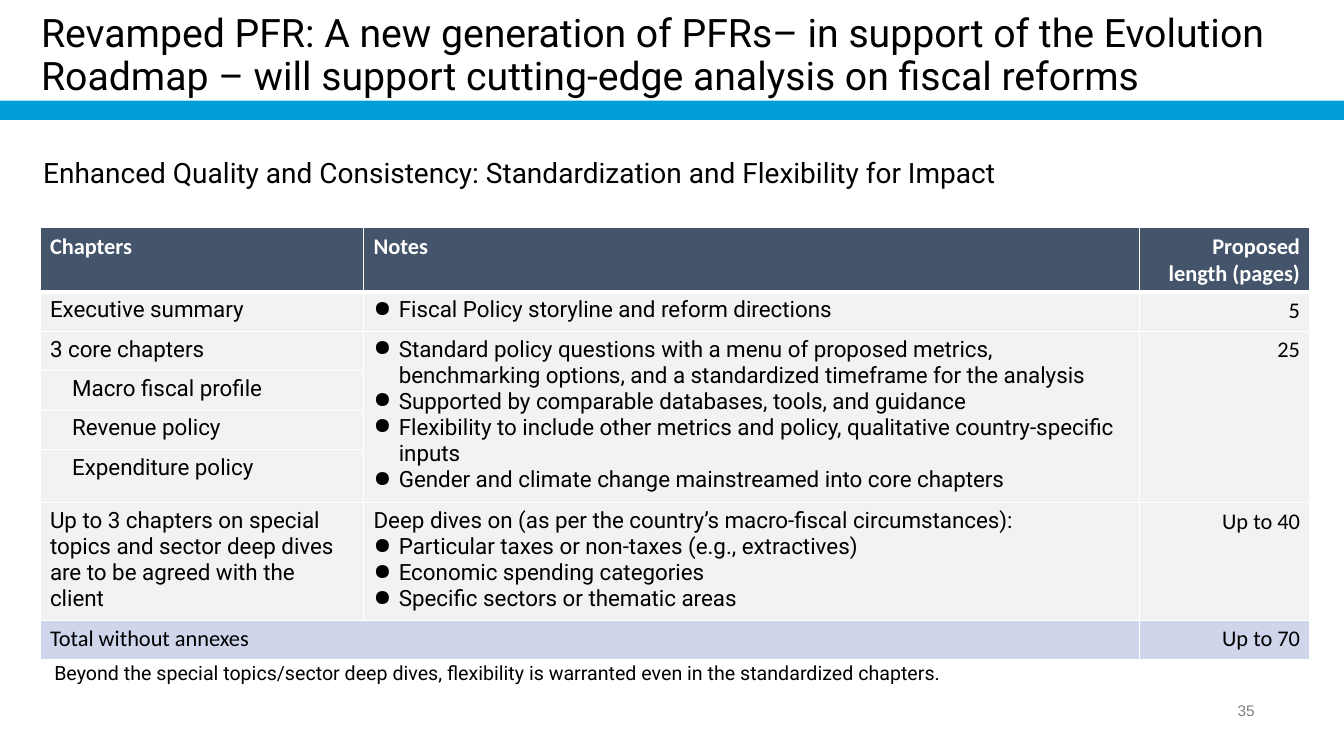
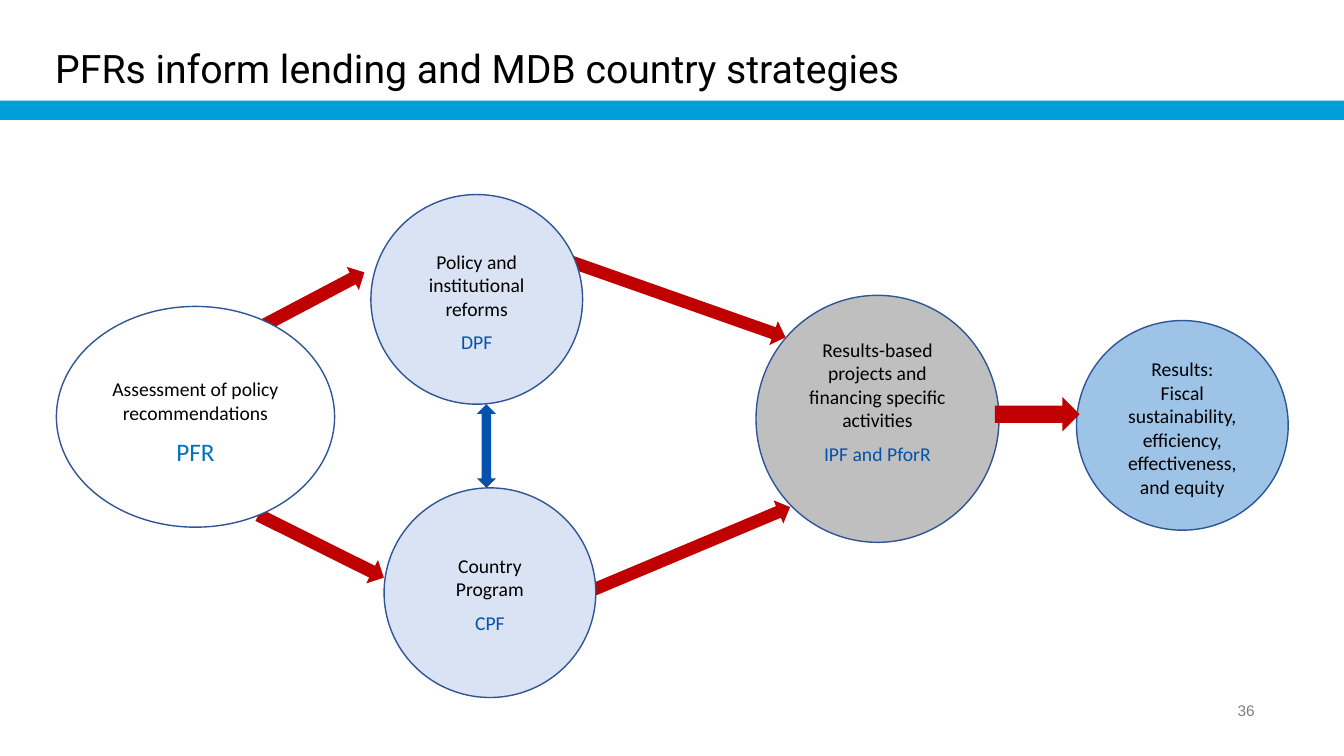
"""Build two slides on public finance reviews: a chapter table and a lending diagram."""

from dataclasses import dataclass

import lxml.etree
import pptx
import pptx.dml.color
import pptx.enum.shapes
import pptx.enum.text
import pptx.oxml.ns
import pptx.shapes.autoshape
import pptx.slide
import pptx.text.text
import pptx.util

SHAPES = pptx.enum.shapes.MSO_SHAPE
ALIGN = pptx.enum.text.PP_ALIGN
ANCHOR = pptx.enum.text.MSO_ANCHOR
WIDTH, HEIGHT = pptx.util.Inches(13.333), pptx.util.Inches(7.5)

BLACK, WHITE, GREY = "000000", "FFFFFF", "808080"
BAND_BLUE, HEADER_BLUE, TOTAL_BLUE = "009FDA", "44546A", "CFD5EA"
BODY_GREY, RED, LINK_BLUE, OUTLINE = "F2F2F2", "C00000", "0551AE", "2F5597"
PALE_BLUE = "DAE3F3"
HEADING, BODY, NUMBER = "Roboto", "Calibri", "Arial"


@dataclass(frozen=True)
class Box:
    """Place and size in percent of the slide's width and height."""

    left: float
    top: float
    width: float
    height: float

    def lengths(self) -> tuple[int, int, int, int]:
        """Return left, top, width and height in EMU."""
        return across(self.left), down(self.top), across(self.width), down(self.height)


@dataclass(frozen=True)
class Arrow:
    """A block arrow turned by a number of degrees."""

    box: Box
    rotation: float = 0
    kind: SHAPES = SHAPES.RIGHT_ARROW
    color: str = RED


@dataclass(frozen=True)
class Stage:
    """An ellipse with a description and the instrument below it."""

    box: Box
    fill: str
    inset: float
    lines: tuple[str, ...]
    instrument: str = ""
    instrument_size: int = 14
    instrument_color: str = LINK_BLUE


@dataclass(frozen=True)
class ChapterRow:
    """One table row; lines that start with a bullet become list items."""

    height: float
    chapter: str
    notes: tuple[str, ...] = ()
    pages: str = ""
    indent: float = 0
    fill: str = BODY_GREY
    color: str = BLACK
    font: str = HEADING
    bold: bool = False


TITLE_BOX = Box(2.32, 1.2, 93.68, 11.07)
LOW_TITLE_BOX = Box(3.37, 1.73, 93.68, 15.2)
COLUMNS = (24.08, 57.75, 12.68)
TABLE_LEFT, TABLE_TOP = 2.97, 30.13
ROW = 5.2
CORE_ROWS = (2, 5)

ROWS = (
    ChapterRow(8.53, "Chapters", ("Notes",), "Proposed length (pages)",
               fill=HEADER_BLUE, color=WHITE, font=BODY, bold=True),
    ChapterRow(ROW, "Executive summary",
               ("● Fiscal Policy storyline and reform directions",), "5"),
    ChapterRow(ROW, "3 core chapters", (
        "● Standard policy questions with a menu of proposed metrics, "
        "benchmarking options, and a standardized timeframe for the analysis",
        "● Supported by comparable databases, tools, and guidance",
        "● Flexibility to include other metrics and policy, "
        "qualitative country-specific inputs",
        "● Gender and climate change mainstreamed into core chapters",
    ), "25"),
    ChapterRow(ROW, "Macro fiscal profile", indent=0.22),
    ChapterRow(ROW, "Revenue policy", indent=0.22),
    ChapterRow(6.5, "Expenditure policy", indent=0.22),
    ChapterRow(15.07, "Up to 3 chapters on special topics and sector deep dives "
               "are to be agreed with the client", (
        "Deep dives on (as per the country’s macro-fiscal circumstances):",
        "● Particular taxes or non-taxes (e.g., extractives)",
        "● Economic spending categories",
        "● Specific sectors or thematic areas",
    ), "Up to 40"),
    ChapterRow(ROW, "Total without annexes", pages="Up to 70",
               fill=TOTAL_BLUE, font=BODY),
)

ARROWS_BEHIND = (
    Arrow(Box(39.5, 37.2, 19.5, 3.33), 19.4),
    Arrow(Box(40.05, 72.13, 19.5, 3.33), 337.2),
    Arrow(Box(18.98, 37.87, 8.63, 3.47), 332.2),
    Arrow(Box(18.68, 70.53, 10.43, 3.47), 26.5),
)
ARROWS_IN_FRONT = (
    Arrow(Box(74.03, 52.53, 6.3, 4.53)),
    Arrow(Box(35.48, 53.47, 1.43, 11.07), kind=SHAPES.UP_DOWN_ARROW, color=LINK_BLUE),
)
STAGES = (
    Stage(Box(4.2, 40.53, 20.7, 29.2), WHITE, 0.38,
          ("Assessment of policy recommendations",), "PFR", 18, "0070C0"),
    Stage(Box(27.6, 25.73, 15.75, 27.73), PALE_BLUE, 0.24,
          ("Policy and institutional reforms",), "DPF"),
    Stage(Box(28.58, 64.53, 15.75, 27.73), PALE_BLUE, 0.35,
          ("Country Program",), "CPF"),
    Stage(Box(56.25, 39.07, 18.08, 32.67), "BFBFBF", 0.06,
          ("Results-based projects and financing specific activities",),
          "IPF and PforR"),
    Stage(Box(80.1, 42.4, 15.75, 27.73), "9DC3E6", 0.06,
          ("Results:", "Fiscal sustainability, efficiency, effectiveness, and equity")),
)


def across(share: float) -> int:
    """Return a percentage of the slide's width in EMU."""
    return int(WIDTH * share / 100)


def down(share: float) -> int:
    """Return a percentage of the slide's height in EMU."""
    return int(HEIGHT * share / 100)


def rgb(value: str) -> pptx.dml.color.RGBColor:
    """Turn a hex string into a colour."""
    return pptx.dml.color.RGBColor.from_string(value)


def write(frame: pptx.text.text.TextFrame, text: str, *, size: float = 14,
          color: str = BLACK, font: str = HEADING, bold: bool = False,
          align: ALIGN = ALIGN.LEFT, line_spacing: float = 1.0,
          space_before: float = 0) -> None:
    """Write one paragraph, using the empty first one when there is one."""
    first = frame.paragraphs[0]
    paragraph = frame.add_paragraph() if first.runs else first
    paragraph.alignment = align
    paragraph.line_spacing = line_spacing
    paragraph.space_before = pptx.util.Pt(space_before)
    if text.startswith("● "):
        text = text[2:]
        add_bullet(paragraph)
    run = paragraph.add_run()
    run.text = text
    run.font.size = pptx.util.Pt(size)
    run.font.name = font
    run.font.bold = bold
    run.font.color.rgb = rgb(color)


def add_bullet(paragraph: pptx.text.text._Paragraph) -> None:
    """Give a paragraph a round bullet with a hanging indent."""
    properties = paragraph._p.get_or_add_pPr()
    hang = pptx.util.Inches(0.25)
    properties.set("marL", str(hang))
    properties.set("indent", str(-hang))
    bullet = lxml.etree.SubElement(properties, pptx.oxml.ns.qn("a:buChar"))
    bullet.set("char", "●")


def add_text(slide: pptx.slide.Slide, box: Box, text: str, *,
             anchor: ANCHOR = ANCHOR.TOP, **text_format) -> None:
    """Add a wrapped text box with one paragraph."""
    frame = slide.shapes.add_textbox(*box.lengths()).text_frame
    frame.word_wrap = True
    frame.vertical_anchor = anchor
    write(frame, text, **text_format)


def add_block(slide: pptx.slide.Slide, kind: SHAPES, box: Box, fill: str,
              outline: str = "") -> pptx.shapes.autoshape.Shape:
    """Add a filled preset shape without shadow."""
    shape = slide.shapes.add_shape(kind, *box.lengths())
    shape.shadow.inherit = False
    shape.fill.solid()
    shape.fill.fore_color.rgb = rgb(fill)
    if outline:
        shape.line.color.rgb = rgb(outline)
        shape.line.width = pptx.util.Pt(1)
    else:
        shape.line.fill.background()
    return shape


def add_slide(presentation: pptx.presentation.Presentation, title: str,
              number: int, box: Box, anchor: ANCHOR) -> pptx.slide.Slide:
    """Add a blank slide with the shared band, title and slide number."""
    slide = presentation.slides.add_slide(presentation.slide_layouts[6])
    add_block(slide, SHAPES.RECTANGLE, Box(0, 13.33, 100, 2.53), BAND_BLUE)
    add_text(slide, box, title, anchor=anchor, size=28, line_spacing=0.9)
    add_text(slide, Box(91.35, 92.13, 5.93, 4), str(number),
             size=11, font=NUMBER, color=GREY)
    return slide


def style_cell(cell: pptx.table._Cell, fill: str, bottom: float) -> None:
    """Give a cell white borders and a solid fill."""
    properties = cell._tc.get_or_add_tcPr()
    for side, points in (("L", 1), ("R", 1), ("T", 1), ("B", bottom)):
        line = lxml.etree.SubElement(properties, pptx.oxml.ns.qn(f"a:ln{side}"))
        line.set("w", str(pptx.util.Pt(points)))
        solid = lxml.etree.SubElement(line, pptx.oxml.ns.qn("a:solidFill"))
        color = lxml.etree.SubElement(solid, pptx.oxml.ns.qn("a:srgbClr"))
        color.set("val", WHITE)
    cell.fill.solid()
    cell.fill.fore_color.rgb = rgb(fill)


def add_chapter_table(slide: pptx.slide.Slide) -> None:
    """Add the table of chapters, notes and page counts."""
    box = Box(TABLE_LEFT, TABLE_TOP, sum(COLUMNS), sum(row.height for row in ROWS))
    table = slide.shapes.add_table(len(ROWS), len(COLUMNS), *box.lengths()).table
    table.horz_banding = False
    for column, width in zip(table.columns, COLUMNS):
        column.width = across(width)
    first, last = CORE_ROWS
    for column in (1, 2):
        table.cell(first, column).merge(table.cell(last, column))
    total = len(ROWS) - 1
    table.cell(total, 0).merge(table.cell(total, 1))
    for index, row in enumerate(ROWS):
        table.rows[index].height = down(row.height)
        contents = ((row.chapter,), row.notes, (row.pages,) if row.pages else ())
        for column, lines in enumerate(contents):
            cell = table.cell(index, column)
            style_cell(cell, row.fill, 1 if index else 3)
            pages = column == 2
            for line in lines:
                write(cell.text_frame, line, size=16, color=row.color, bold=row.bold,
                      font=BODY if pages else row.font,
                      align=ALIGN.RIGHT if pages else ALIGN.LEFT)
        table.cell(index, 0).margin_left = pptx.util.Inches(0.1 + row.indent)


def add_arrow(slide: pptx.slide.Slide, arrow: Arrow) -> None:
    """Add a block arrow."""
    add_block(slide, arrow.kind, arrow.box, arrow.color).rotation = arrow.rotation


def add_stage(slide: pptx.slide.Slide, stage: Stage) -> None:
    """Add an ellipse with its centred text."""
    frame = add_block(slide, SHAPES.OVAL, stage.box, stage.fill, OUTLINE).text_frame
    frame.word_wrap = True
    frame.vertical_anchor = ANCHOR.TOP
    frame.margin_top = pptx.util.Inches(stage.inset)
    for line in stage.lines:
        write(frame, line, font=BODY, align=ALIGN.CENTER)
    if stage.instrument:
        write(frame, stage.instrument, font=BODY, align=ALIGN.CENTER,
              size=stage.instrument_size, color=stage.instrument_color,
              space_before=stage.instrument_size / 2)


def main() -> None:
    """Build and save the presentation."""
    presentation = pptx.Presentation()
    presentation.slide_width, presentation.slide_height = WIDTH, HEIGHT

    chapters = add_slide(
        presentation, "Revamped PFR: A new generation of PFRs– in support of the Evolution "
        "Roadmap – will support cutting-edge analysis on fiscal reforms",
        35, TITLE_BOX, ANCHOR.TOP)
    add_chapter_table(chapters)
    add_text(chapters, Box(2.47, 15.47, 95.03, 15.2),
             "Enhanced Quality and Consistency: Standardization and Flexibility for Impact",
             anchor=ANCHOR.MIDDLE, size=20, line_spacing=0.9)
    add_text(chapters, Box(3.3, 86.8, 93.38, 4.53),
             "Beyond the special topics/sector deep dives, flexibility is warranted "
             "even in the standardized chapters.", align=ALIGN.JUSTIFY)

    lending = add_slide(presentation, "PFRs inform lending and MDB country strategies",
                        36, LOW_TITLE_BOX, ANCHOR.MIDDLE)
    for arrow in ARROWS_BEHIND:
        add_arrow(lending, arrow)
    for stage in STAGES:
        add_stage(lending, stage)
    for arrow in ARROWS_IN_FRONT:
        add_arrow(lending, arrow)
    presentation.save("out.pptx")


if __name__ == "__main__":
    main()
